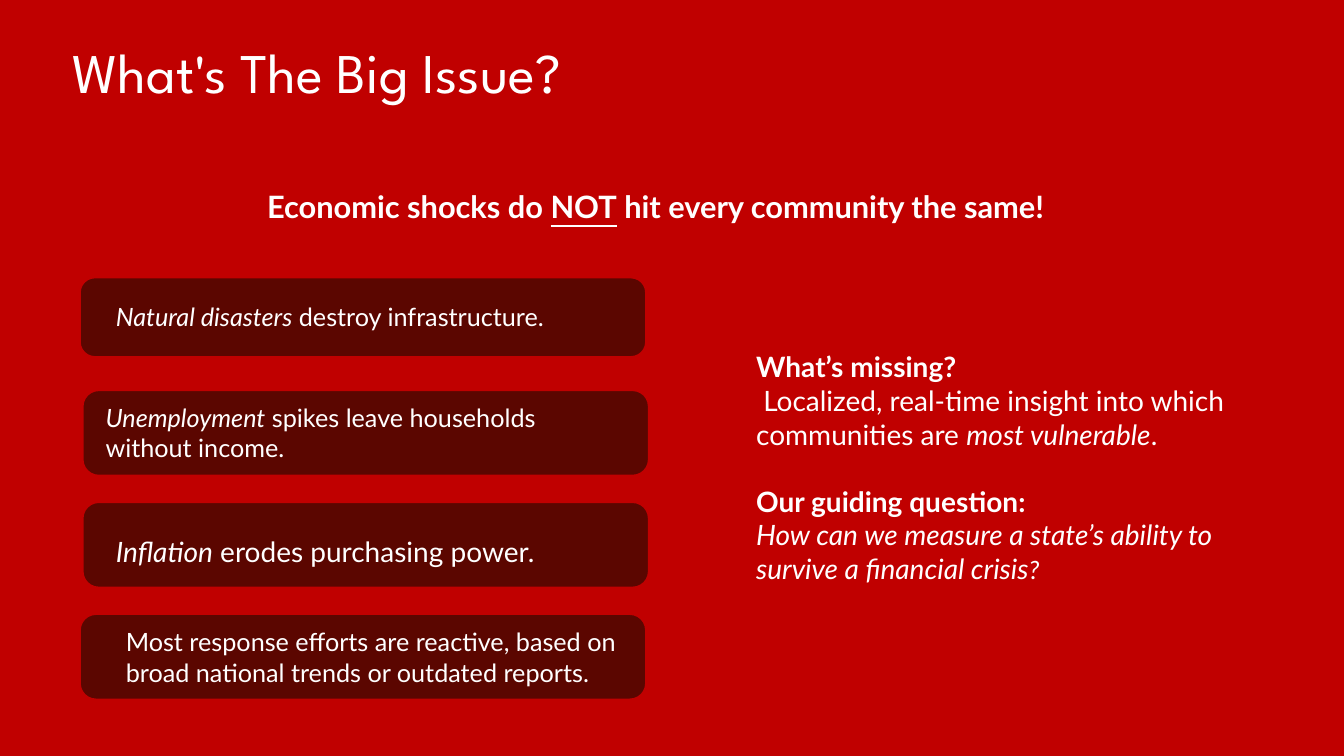
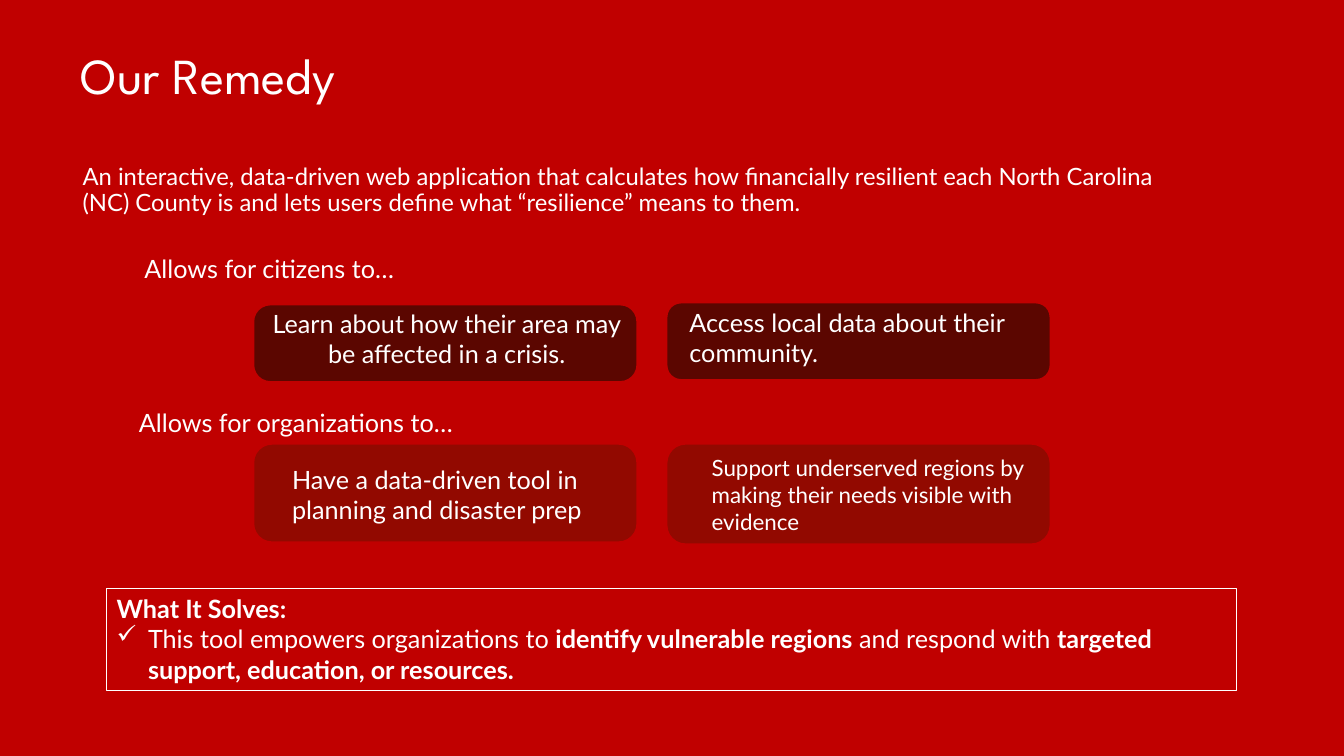
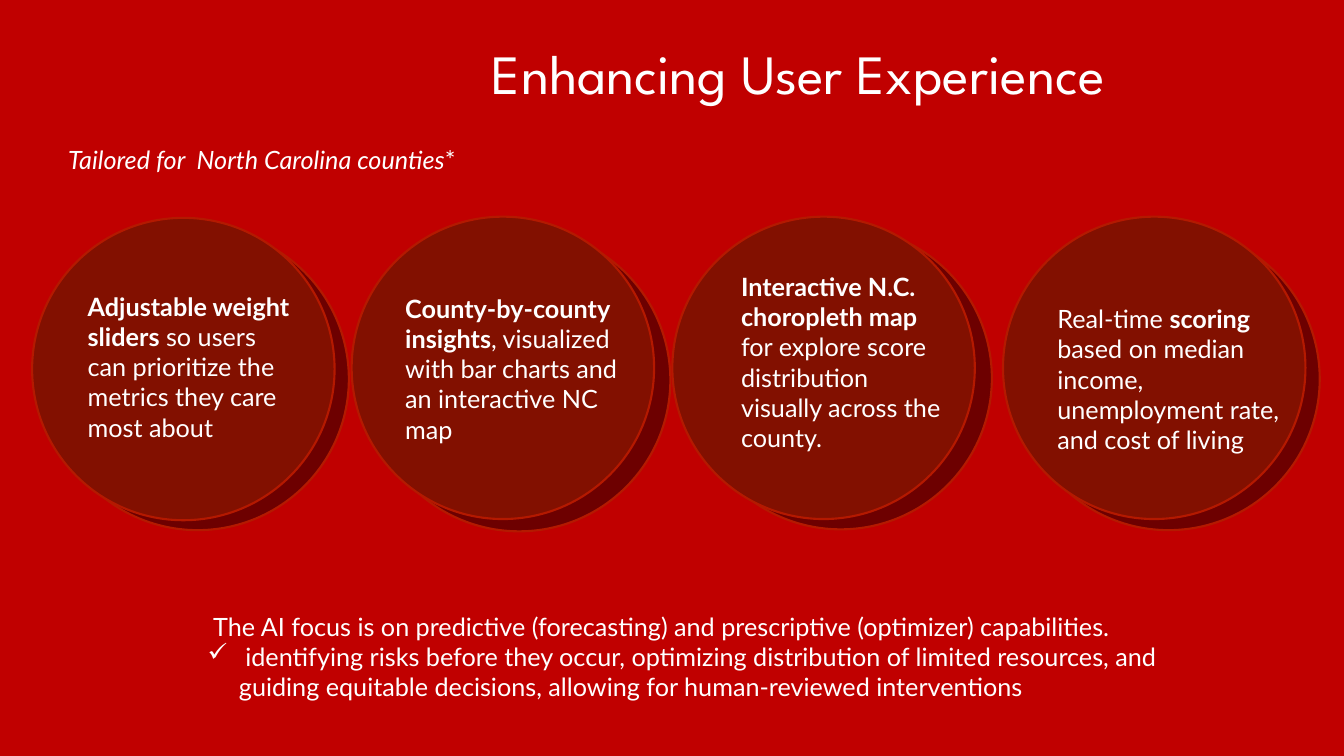
from lxml.etree import SubElement
from pptx import Presentation
from pptx.dml.color import RGBColor
from pptx.enum.shapes import MSO_SHAPE
from pptx.enum.text import MSO_ANCHOR, MSO_AUTO_SIZE, PP_ALIGN
from pptx.oxml.ns import qn
from pptx.util import Cm, Pt

RED, WHITE = "C00000", "FFFFFF"
DARK, MEDIUM = "5B0600", "920900"
DISC, DISC_SHADE, DISC_EDGE = "821000", "6D0000", "B41900"
TITLE_FONT, BODY_FONT = "League Spartan", "Lato"


def add_panel(slide, kind, box, fill, line=RED, corner=None, weight=1.5):
    shape = slide.shapes.add_shape(kind, *map(Cm, box))
    shape.shadow.inherit = False
    if fill:
        shape.fill.solid()
        shape.fill.fore_color.rgb = RGBColor.from_string(fill)
    else:
        shape.fill.background()
    shape.line.color.rgb = RGBColor.from_string(line)
    shape.line.width = Pt(weight)
    if corner:
        shape.adjustments[0] = corner
    return shape


def write(shape, paragraphs, size=18, font=BODY_FONT, align=PP_ALIGN.LEFT,
          anchor=MSO_ANCHOR.TOP, spacing=None):
    """Each paragraph is a list of (text, style) runs; style letters are b, i, u.

    A leading "✓" in place of the first run makes the paragraph a check item.
    """
    frame = shape.text_frame
    frame.word_wrap = True
    frame.auto_size = MSO_AUTO_SIZE.NONE
    frame.vertical_anchor = anchor
    for index, runs in enumerate(paragraphs):
        paragraph = frame.add_paragraph() if index else frame.paragraphs[0]
        paragraph.alignment = align
        if runs[0] == "✓":
            properties = paragraph._p.get_or_add_pPr()
            properties.set("marL", str(Cm(0.79)))
            properties.set("indent", str(Cm(-0.79)))
            SubElement(properties, qn("a:buChar")).set("char", "✓")
            runs = runs[1:]
        if spacing:
            paragraph.line_spacing = spacing
        paragraph.font.name = font
        paragraph.font.size = Pt(size)
        paragraph.font.color.rgb = RGBColor.from_string(WHITE)
        for text, style in runs:
            run = paragraph.add_run()
            run.text = text
            if "b" in style:
                run.font.bold = True
            if "i" in style:
                run.font.italic = True
            if "u" in style:
                run.font.underline = True
    return frame


presentation = Presentation()
presentation.slide_width, presentation.slide_height = Cm(33.86), Cm(19.05)
background = presentation.slide_master.background.fill
background.solid()
background.fore_color.rgb = RGBColor.from_string(RED)

titles = [
    ("What's The Big Issue?", (1.57, 0.89, 17.73, 2.01), 40),
    ("Our Remedy", (1.78, 0.81, 8.48, 2.31), 36),
    ("Enhancing User Experience", (12.14, 1.14, 21.72, 1.6), 39.6),
]
for text, box, size in titles:
    slide = presentation.slides.add_slide(presentation.slide_layouts[5])
    title = slide.shapes.title
    title.left, title.top, title.width, title.height = map(Cm, box)
    write(title, [[(text, "")]], size, TITLE_FONT, anchor=MSO_ANCHOR.MIDDLE, spacing=0.9)
issue, remedy, experience = presentation.slides

# Slide 1: the issue
headline = issue.shapes.add_textbox(Cm(6.48), Cm(4.6), Cm(20.9), Cm(1.19))
write(headline, [[("Economic shocks do ", "b"), ("NOT", "bu"),
                  (" hit every community the same!", "b")]], 22)

shocks = [
    ((2.01, 6.99, 14.27, 2.01), (2.67, 7.47, 14.91, 1.02), 18,
     [("Natural disasters", "i"), (" destroy infrastructure.", "")]),
    ((2.08, 9.83, 14.27, 2.16), (2.41, 10.01, 13.44, 1.8), 18,
     [("Unemployment", "i"), (" spikes leave households without income.", "")]),
    ((2.08, 12.65, 14.27, 2.16), (2.67, 13.34, 13.87, 1.1), 20,
     [("Inflation", "i"), (" erodes purchasing power.", "")]),
    ((2.01, 15.47, 14.27, 2.16), (2.92, 15.67, 13.36, 1.8), 18,
     [("Most response efforts are reactive, based on broad national trends "
       "or outdated reports.", "")]),
]
for card_box, text_box, size, runs in shocks:
    add_panel(issue, MSO_SHAPE.ROUNDED_RECTANGLE, card_box, DARK, corner=0.19)
    write(issue.shapes.add_textbox(*map(Cm, text_box)), [runs], size)

question = issue.shapes.add_textbox(Cm(18.8), Cm(8.69), Cm(12.4), Cm(6.25))
question_frame = write(question, [
    [("What’s missing?", "b")],
    [(" Localized, real-time insight into which communities are ", ""),
     ("most vulnerable", "i"), (".", "")],
    [("Our guiding question:", "b")],
    [("How can we measure a state’s ability to survive a financial crisis", "i"),
     ("?", "i")],
], 20)
question_frame.paragraphs[2].space_before = Pt(24)
question_frame.paragraphs[3].runs[1].font.size = Pt(18)

# Slide 2: the remedy
intro = remedy.shapes.add_textbox(Cm(1.83), Cm(3.89), Cm(28.47), Cm(1.83))
write(intro, [[("An interactive, data-driven web application that calculates how financially "
                "resilient each North Carolina (NC) County is and lets users define what "
                "“resilience” means to them.", "")]],
      17, anchor=MSO_ANCHOR.MIDDLE, spacing=0.9)

for text, top in [(" Allows for citizens to…", 6.27), ("Allows for organizations to…", 10.13)]:
    write(remedy.shapes.add_textbox(Cm(3.25), Cm(top), Cm(16), Cm(1.02)), [[(text, "")]])

benefits = [
    ((6.38, 7.67, 9.68, 1.96), DARK, 0.22, (6.43, 7.65, 9.65, 1.8), 18, PP_ALIGN.CENTER,
     "Learn about how their area may be affected in a crisis."),
    ((16.79, 7.62, 9.68, 1.96), DARK, 0.19, (17.12, 7.62, 9.04, 1.8), 18, PP_ALIGN.LEFT,
     "Access local data about their community."),
    ((6.38, 11.18, 9.68, 2.49), MEDIUM, 0.19, (7.11, 11.58, 8.94, 1.8), 18, PP_ALIGN.LEFT,
     "Have a data-driven tool in planning and disaster prep"),
    ((16.79, 11.18, 9.68, 2.54), MEDIUM, 0.19, (17.68, 11.33, 9.53, 2.31), 16, PP_ALIGN.LEFT,
     "Support underserved regions by making their needs visible with evidence"),
]
for card_box, fill, corner, text_box, size, align, text in benefits:
    add_panel(remedy, MSO_SHAPE.ROUNDED_RECTANGLE, card_box, fill, corner=corner)
    write(remedy.shapes.add_textbox(*map(Cm, text_box)), [[(text, "")]], size, align=align)

solution = add_panel(remedy, MSO_SHAPE.RECTANGLE, (2.69, 14.83, 28.47, 2.57), None, WHITE,
                     weight=0.75)
write(solution, [
    [("What It Solves:", "b")],
    ["✓", ("This tool empowers organizations to ", ""), ("identify vulnerable regions", "b"),
     (" and respond with ", ""), ("targeted support, education, or resources.", "b")],
])

# Slide 3: the user experience
DIAMETER = 7.62
for left, top in [(25.63, 5.74), (17.37, 5.72), (9.27, 5.77), (1.17, 5.74)]:
    add_panel(experience, MSO_SHAPE.OVAL, (left, top, DIAMETER, DIAMETER), DISC_SHADE, DISC_EDGE)

features = [
    ((0.81, 5.49), (1.96, 7.21, 5.69, 4.11),
     [[("Adjustable weight sliders", "b"),
       (" so users can prioritize the metrics they care most about", "")]]),
    ((8.86, 5.46), (9.96, 7.26, 6.4, 4.11),
     [[("County-by-county insights", "b"),
       (", visualized with bar charts and an interactive NC map", "")]]),
    ((16.94, 5.46), (18.42, 6.71, 5.69, 4.88),
     [[("Interactive N.C. choropleth map", "b")],
      [("for explore score distribution visually across the county.", "")]]),
    ((25.27, 5.46), (26.39, 7.52, 6.12, 4.11),
     [[("Real-time ", ""), ("scoring", "b"),
       (" based on median income, unemployment rate, and cost of living", "")]]),
]
for (left, top), text_box, paragraphs in features:
    add_panel(experience, MSO_SHAPE.OVAL, (left, top, DIAMETER, DIAMETER), DISC, DISC_EDGE)
    write(experience.shapes.add_textbox(*map(Cm, text_box)), paragraphs)

scope = experience.shapes.add_textbox(Cm(1.47), Cm(3.51), Cm(16.94), Cm(1.02))
write(scope, [[("Tailored for  North Carolina counties", "i"), ("*", "")]])

focus = experience.shapes.add_textbox(Cm(4.98), Cm(15.27), Cm(25.83), Cm(2.57))
write(focus, [
    [(" The AI focus is on predictive (forecasting) and prescriptive (optimizer) "
      "capabilities.", "")],
    ["✓", (" identifying risks before they occur, optimizing distribution of limited resources, "
           "and guiding equitable decisions, allowing for human-reviewed interventions", "")],
])

presentation.save("out.pptx")
